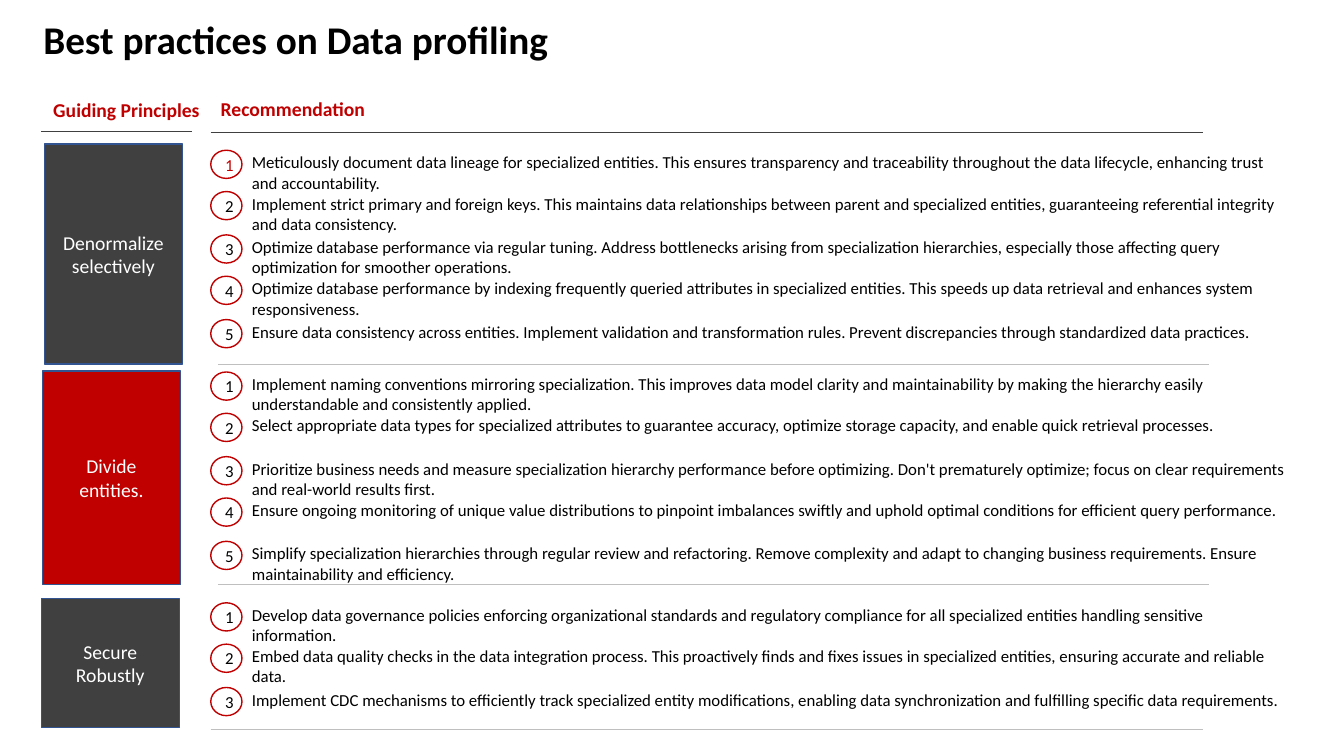
import pptx
import pptx.dml.color
import pptx.enum.shapes
import pptx.enum.text
import pptx.oxml.ns
import pptx.util
from lxml import etree
from pptx.dml.color import RGBColor
from pptx.util import Inches

BLACK = RGBColor(0x00, 0x00, 0x00)
WHITE = RGBColor(0xFF, 0xFF, 0xFF)
RED = RGBColor(0xC0, 0x00, 0x00)
CHARCOAL = RGBColor(0x40, 0x40, 0x40)
SILVER = RGBColor(0xBF, 0xBF, 0xBF)
BLUE = RGBColor(0x32, 0x54, 0x91)

SHAPES = pptx.enum.shapes.MSO_SHAPE
ANCHOR = pptx.enum.text.MSO_ANCHOR
ALIGN = pptx.enum.text.PP_ALIGN

# Principle, block colour, block box, top of first row, recommendations
principles = [
    ("Denormalize selectively", CHARCOAL, (0.44, 1.43, 1.37, 2.18), 1.49, [
        "Meticulously document data lineage for specialized entities. This ensures transparency and traceability throughout the data lifecycle, enhancing trust and accountability.",
        "Implement strict primary and foreign keys. This maintains data relationships between parent and specialized entities, guaranteeing referential integrity and data consistency.",
        "Optimize database performance via regular tuning. Address bottlenecks arising from specialization hierarchies, especially those affecting query optimization for smoother operations.",
        "Optimize database performance by indexing frequently queried attributes in specialized entities. This speeds up data retrieval and enhances system responsiveness.",
        "Ensure data consistency across entities. Implement validation and transformation rules. Prevent discrepancies through standardized data practices.",
    ]),
    ("Divide entities.", RED, (0.42, 3.68, 1.37, 2.12), 3.69, [
        "Implement naming conventions mirroring specialization. This improves data model clarity and maintainability by making the hierarchy easily understandable and consistently applied.",
        "Select appropriate data types for specialized attributes to guarantee accuracy, optimize storage capacity, and enable quick retrieval processes.",
        "Prioritize business needs and measure specialization hierarchy performance before optimizing. Don't prematurely optimize; focus on clear requirements and real-world results first.",
        "Ensure ongoing monitoring of unique value distributions to pinpoint imbalances swiftly and uphold optimal conditions for efficient query performance.",
        "Simplify specialization hierarchies through regular review and refactoring. Remove complexity and adapt to changing business requirements. Ensure maintainability and efficiency.",
    ]),
    ("Secure Robustly", CHARCOAL, (0.41, 5.94, 1.37, 1.28), 5.98, [
        "Develop data governance policies enforcing organizational standards and regulatory compliance for all specialized entities handling sensitive information.",
        "Embed data quality checks in the data integration process. This proactively finds and fixes issues in specialized entities, ensuring accurate and reliable data.",
        "Implement CDC mechanisms to efficiently track specialized entity modifications, enabling data synchronization and fulfilling specific data requirements.",
    ]),
]
row_offsets = [0, 0.41, 0.84, 1.25, 1.68]

deck = pptx.Presentation()
deck.slide_width = Inches(13.33)
deck.slide_height = Inches(7.5)
slide = deck.slides.add_slide(deck.slide_layouts[5])


def write(holder, text, size, color, bold=False, align=ALIGN.LEFT, anchor=ANCHOR.TOP):
    frame = holder.text_frame
    frame.text = text
    frame.word_wrap = True
    frame.vertical_anchor = anchor
    paragraph = frame.paragraphs[0]
    paragraph.alignment = align
    paragraph.font.name = "Calibri"
    paragraph.font.size = pptx.util.Pt(size)
    paragraph.font.bold = bold
    paragraph.font.color.rgb = color
    return frame


def add_block(kind, box, fill, outline):
    block = slide.shapes.add_shape(kind, *map(Inches, box))
    block.shadow.inherit = False
    block.fill.solid()
    block.fill.fore_color.rgb = fill
    block.line.color.rgb = outline
    block.line.width = pptx.util.Pt(1)
    return block


# Title
title = slide.shapes.title
title.left, title.top = Inches(0.33), Inches(0.1)
title.width, title.height = Inches(12.03), Inches(0.57)
title_frame = write(title, "Best practices on Data profiling", 28, BLACK, bold=True)
title_frame.auto_size = pptx.enum.text.MSO_AUTO_SIZE.NONE

# Column headings
for heading, left, top, width in [("Guiding Principles", 0.43, 0.92, 1.66),
                                  ("Recommendation", 2.09, 0.91, 9.96)]:
    heading_box = slide.shapes.add_textbox(Inches(left), Inches(top), Inches(width), Inches(0.34))
    write(heading_box, heading, 14, RED, bold=True).word_wrap = False

# Rules under the headings and the groups
for left, right, y, color in [(0.41, 1.9, 1.3, CHARCOAL), (2.09, 11.93, 1.31, CHARCOAL),
                              (2.16, 11.99, 3.61, SILVER), (2.16, 11.99, 5.8, SILVER),
                              (2.09, 11.93, 7.24, SILVER)]:
    rule = slide.shapes.add_connector(pptx.enum.shapes.MSO_CONNECTOR.STRAIGHT,
                                      Inches(left), Inches(y), Inches(right), Inches(y))
    rule.line.color.rgb = color
    rule.line.width = pptx.util.Pt(0.5)
    etree.SubElement(rule._element.spPr, pptx.oxml.ns.qn("a:effectLst"))

# Principle blocks with their numbered recommendations
for principle, block_color, box, first_top, recommendations in principles:
    block = add_block(SHAPES.RECTANGLE, box, block_color, BLUE)
    block_frame = write(block, principle, 14, WHITE, align=ALIGN.CENTER, anchor=ANCHOR.MIDDLE)
    block_frame.margin_left = block_frame.margin_right = Inches(0.12)

    for number, (offset, recommendation) in enumerate(zip(row_offsets, recommendations), 1):
        top = first_top + offset
        badge = add_block(SHAPES.OVAL, (2.09, top, 0.31, 0.28), WHITE, RED)
        is_first_badge = principle == principles[0][0] and number == 1
        write(badge, str(number), 12, RED if is_first_badge else BLACK,
              align=ALIGN.CENTER, anchor=ANCHOR.MIDDLE)
        advice = slide.shapes.add_textbox(Inches(2.4), Inches(top - 0.03), Inches(10.5), Inches(0.3))
        write(advice, recommendation, 12, BLACK)

deck.save("out.pptx")
